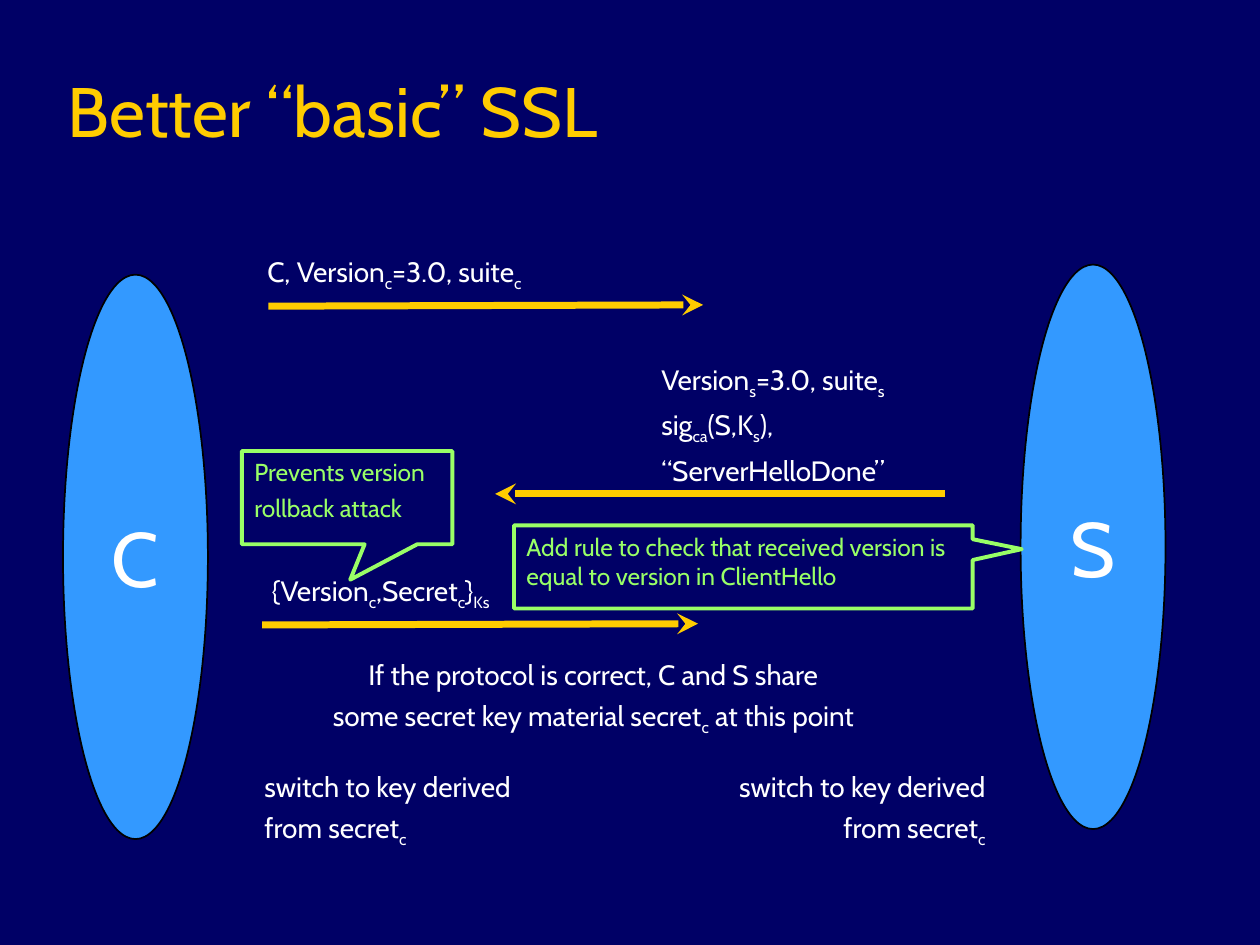
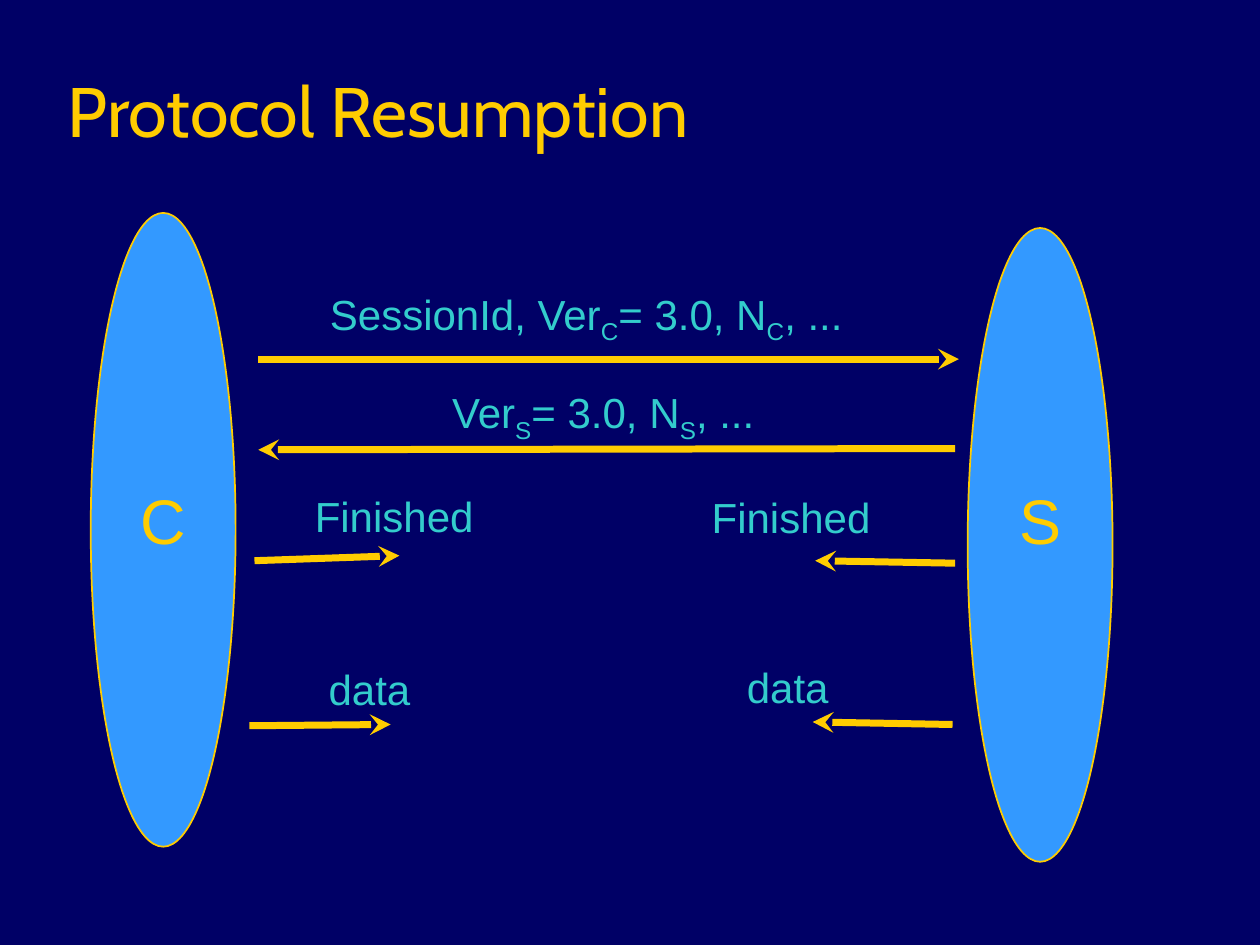
from lxml import etree
from pptx import Presentation
from pptx import util as u
from pptx.dml.color import RGBColor
from pptx.enum import shapes, text
from pptx.oxml.ns import qn

NAVY = RGBColor(0x00, 0x00, 0x66)
GOLD = RGBColor(0xFF, 0xCC, 0x00)
BLUE = RGBColor(0x33, 0x99, 0xFF)
TEAL = RGBColor(0x33, 0xCC, 0xCC)
LIME = RGBColor(0x99, 0xFF, 0x66)
WHITE = RGBColor(0xFF, 0xFF, 0xFF)
BLACK = RGBColor(0x00, 0x00, 0x00)
LEFT, CENTER, RIGHT = text.PP_ALIGN.LEFT, text.PP_ALIGN.CENTER, text.PP_ALIGN.RIGHT

deck = Presentation()
deck.slide_width, deck.slide_height = u.Inches(10), u.Inches(7.5)
COL, ROW = deck.slide_width / 100, deck.slide_height / 75


def write(page, area, lines, font, size, color, align=LEFT, before=0,
          kind=None, wrap=False, anchor=text.MSO_ANCHOR.TOP):
    """Add a text box, or a preset shape of the given kind, in grid units.

    Text between a pair of underscores is set as subscript.
    """
    left, top, width, height = area
    place = [round(n) for n in (left * COL, top * ROW, width * COL, height * ROW)]
    if kind is None:
        box = page.shapes.add_textbox(*place)
    else:
        box = page.shapes.add_shape(kind, *place)
        box.shadow.inherit = False
    frame = box.text_frame
    frame.word_wrap = wrap
    frame.vertical_anchor = anchor
    for number, line in enumerate(lines):
        para = frame.add_paragraph() if number else frame.paragraphs[0]
        para.alignment = align
        para.space_before = u.Pt(before)
        para.font.name, para.font.size = font, u.Pt(size)
        para.font.color.rgb = color
        for index, part in enumerate(line.split("_")):
            if part:
                span = para.add_run()
                span.text = part
                if index % 2:
                    span.font._element.set("baseline", "-25000")
    return box


def add_arrow(page, start_x, start_y, end_x, end_y):
    arrow = page.shapes.add_connector(
        shapes.MSO_CONNECTOR.STRAIGHT, round(start_x * COL), round(start_y * ROW),
        round(end_x * COL), round(end_y * ROW))
    arrow.line.color.rgb = GOLD
    arrow.line.width = u.Pt(4)
    etree.SubElement(arrow.line._get_or_add_ln(), qn("a:tailEnd"), type="stealth")
    etree.SubElement(arrow._element.spPr, qn("a:effectLst"))


# Shared background and title
pages = []
for title in ("Better “basic” SSL", "Protocol Resumption"):
    page = deck.slides.add_slide(deck.slide_layouts[6])
    page.background.fill.solid()
    page.background.fill.fore_color.rgb = NAVY
    write(page, (4.4, 2.5, 85, 10), [title], "Cabin", 40, GOLD,
          wrap=True, anchor=text.MSO_ANCHOR.BOTTOM)
    pages.append(page)
basic, resumption = pages

# Client and server ovals on both slides
for page, left, top, height, label, outline in (
        (basic, 5, 21.8, 44.8, ["C"], BLACK),
        (basic, 81, 21, 44.8, ["S"], BLACK),
        (resumption, 7.2, 16.9, 50.3, [], GOLD),
        (resumption, 76.8, 18.1, 50.3, [], GOLD)):
    oval = write(page, (left, top, 11.5, height), label, "Cabin", 44, WHITE, CENTER, 11,
                 kind=shapes.MSO_SHAPE.OVAL, anchor=text.MSO_ANCHOR.MIDDLE)
    oval.fill.solid()
    oval.fill.fore_color.rgb = BLUE
    oval.line.color.rgb = outline
    oval.line.width = u.Pt(1)

# Basic handshake
for ends in ((21.3, 24.3, 55.8, 24.2), (75, 39.2, 39.3, 39.2), (20.8, 49.6, 55.4, 49.5)):
    add_arrow(basic, *ends)

key_switch = ["switch to key derived", "from secret_c_"]
for area, lines, align in (
        ((19.2, 19.7, 24.2, 4.1), ["C, Version_c_=3.0, suite_c_"], CENTER),
        ((51.5, 28.3, 21.7, 10.9),
         ["Version_s_=3.0, suite_s_", "sig_ca_(S,K_s_),", "“ServerHelloDone”"], LEFT),
        ((19.6, 45, 21.2, 4.1), ["{Version_c_,Secret_c_}_Ks_"], CENTER),
        ((22.8, 51.7, 48.6, 7.3),
         ["If the protocol is correct, C and S share",
          "some secret key material secret_c_ at this point"], CENTER),
        ((20, 60.6, 23.9, 7.3), key_switch, LEFT),
        ((55.3, 60.6, 23.9, 7.3), key_switch, RIGHT)):
    write(basic, area, lines, "Cabin", 16, WHITE, align, 4)

for area, lines, pointer in (
        ((19.2, 35.8, 16.7, 7.4), ["Prevents version", "rollback attack"], (0.015, 0.88)),
        ((40.8, 41.7, 36.4, 6.6),
         ["Add rule to check that received version is equal to version in ClientHello"],
         (0.607, -0.214))):
    callout = write(basic, area, lines, "Cabin", 14, LIME, LEFT, 3.5,
                    kind=shapes.MSO_SHAPE.RECTANGULAR_CALLOUT, wrap=True)
    callout.adjustments[0], callout.adjustments[1] = pointer
    callout.fill.background()
    callout.line.color.rgb = LIME
    callout.line.width = u.Pt(2.25)

# Resumed session
for ends in ((20.5, 28.5, 76.1, 28.5), (75.8, 35.6, 20.5, 35.7),
             (20.2, 44.5, 31.7, 44.1), (75.8, 44.7, 64.7, 44.5),
             (19.8, 57.6, 31, 57.5), (75.6, 57.5, 64.5, 57.3)):
    add_arrow(resumption, *ends)

for left, width, name in ((10.2, 5.6, "C"), (79.9, 5.4, "S")):
    write(resumption, (left, 37.7, width, 7), [name], "Arial", 36, GOLD)

for area, message in (
        ((25.2, 22.4, 42.8, 5.6), "SessionId, Ver_C_= 3.0, N_C_, ..."),
        ((34.9, 30.2, 26.1, 5.6), "Ver_S_= 3.0, N_S_, ..."),
        ((24, 38.4, 14.6, 5), "Finished"),
        ((55.5, 38.5, 14.6, 5), "Finished"),
        ((25.1, 52.2, 10.4, 5), "data"),
        ((58.3, 52, 10.4, 5), "data")):
    write(resumption, area, [message], "Arial", 24, TEAL)

deck.save("out.pptx")
